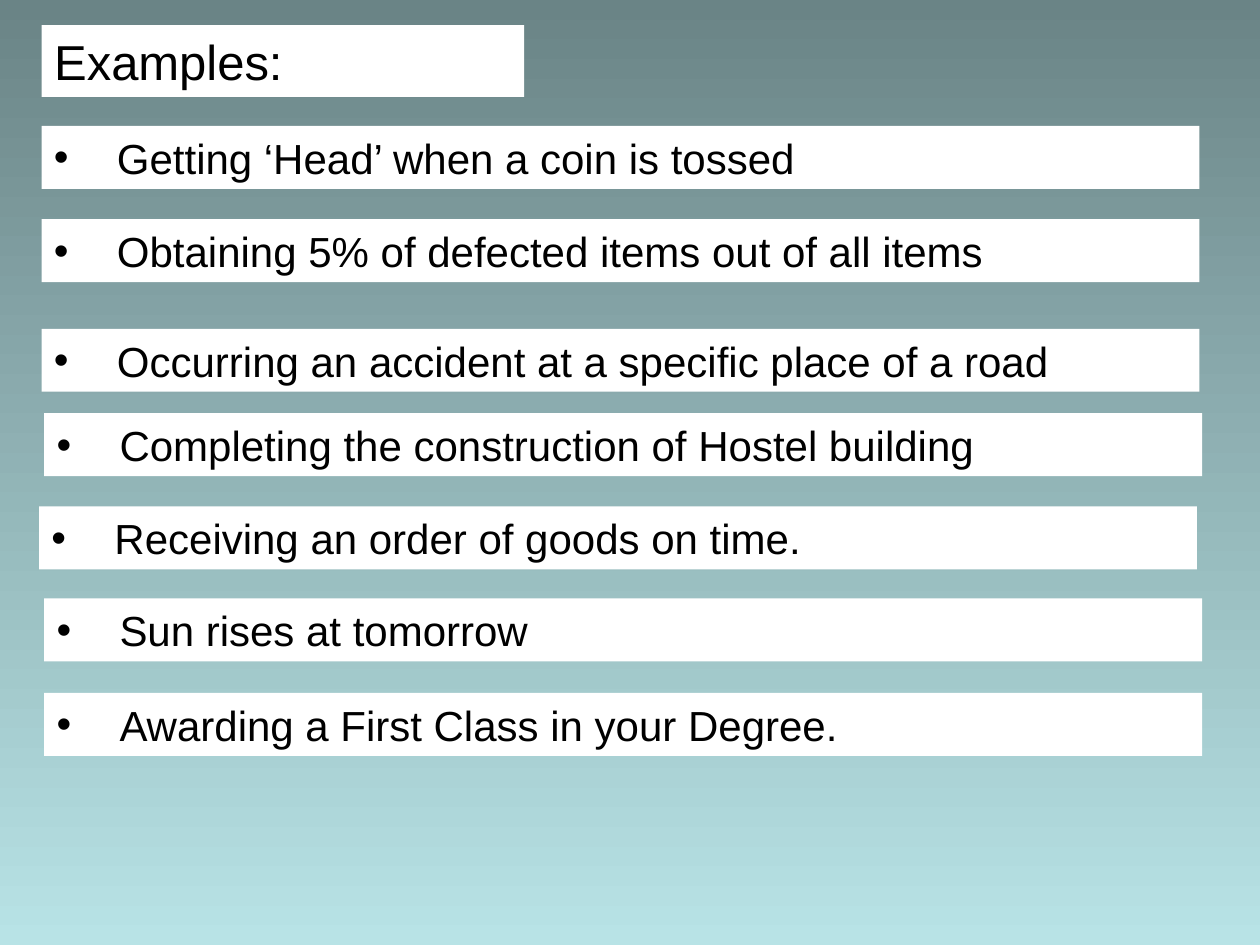
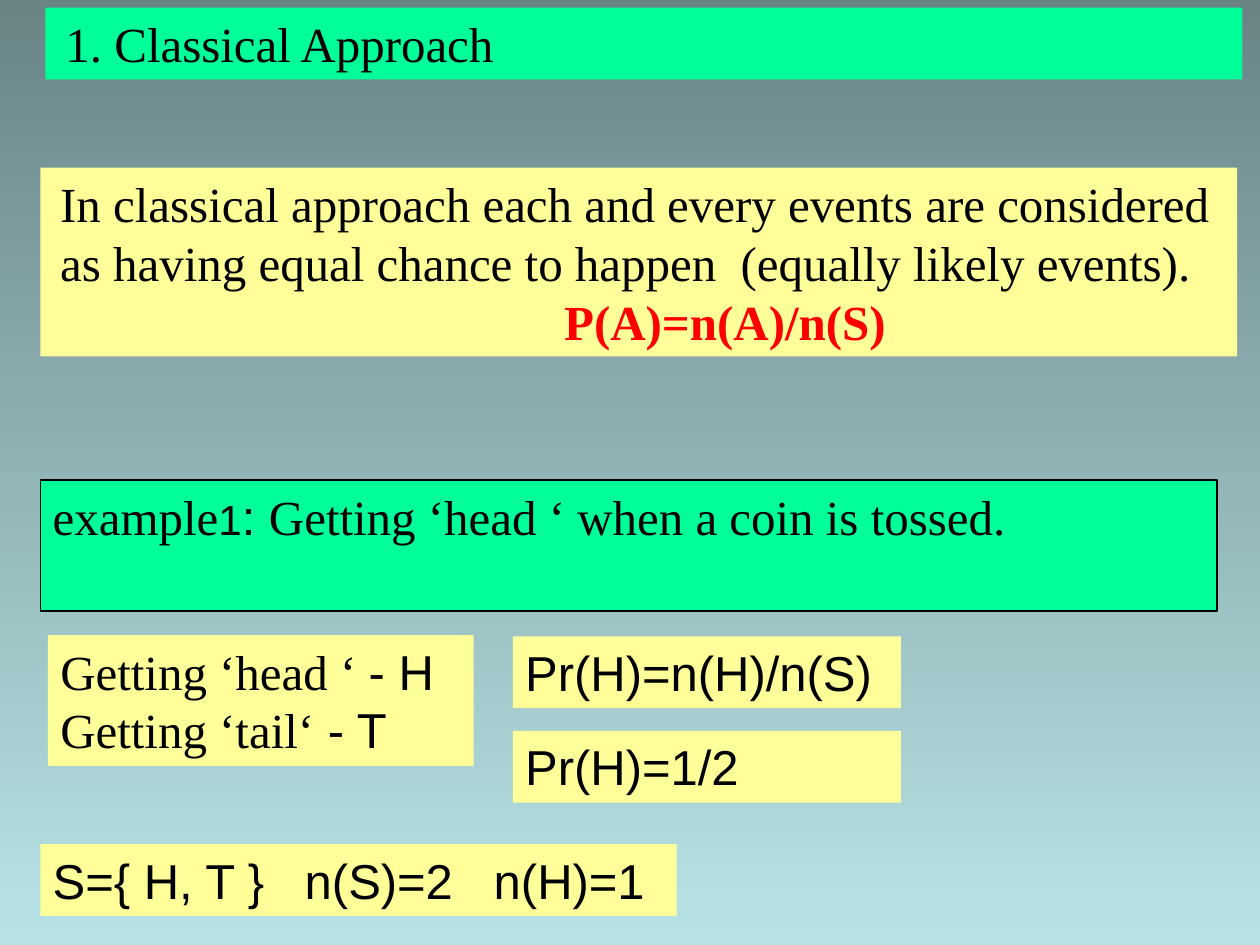
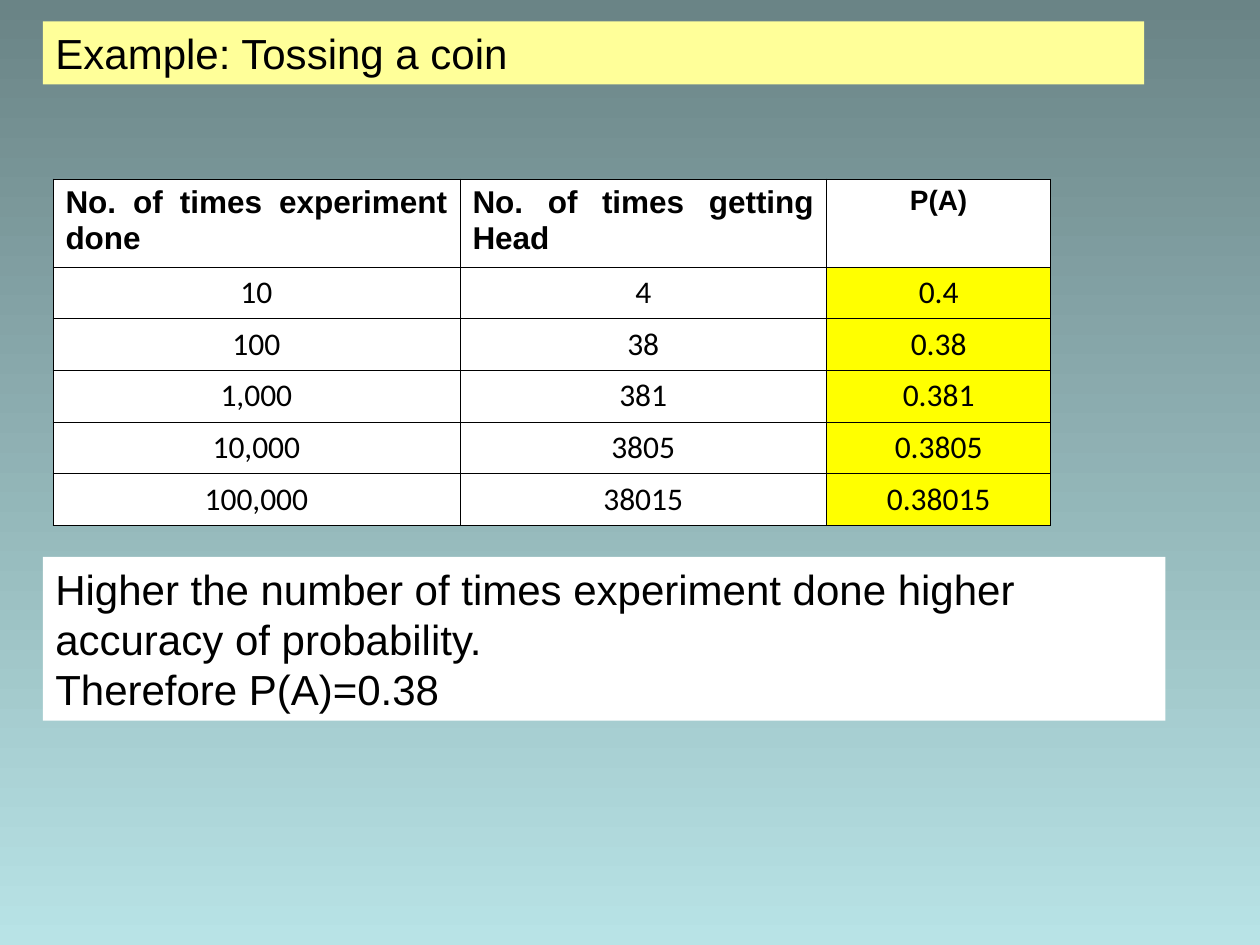
from lxml import etree
from pptx import Presentation
from pptx import util as u
from pptx.dml.color import RGBColor
from pptx.enum import shapes, text
from pptx.oxml import ns

BLACK, WHITE, RED = "000000", "FFFFFF", "FF0000"
GREEN, PALE, YELLOW = "00FF99", "FFFF99", "FFFF00"
BACKGROUND = ("6A8486", "B8E3E6")
SANS, SERIF, TABLE_FONT = "Arial", "Times New Roman", "Calibri"
LEFT, CENTER, JUSTIFY = text.PP_ALIGN.LEFT, text.PP_ALIGN.CENTER, text.PP_ALIGN.JUSTIFY
LINE_FACTOR = 1.2


def color(value):
    return RGBColor.from_string(value)


def set_values(target, values):
    for name, value in values.items():
        setattr(target, name, value)


def add_run(paragraph, words, size, font=SANS, ink=BLACK, bold=False):
    run = paragraph.add_run()
    run.text = words
    set_values(run.font, {"size": u.Pt(size), "name": font, "bold": bold})
    run.font.color.rgb = color(ink)


def add_element(parent, tag, **attributes):
    return etree.SubElement(parent, ns.qn(tag), attributes)


def indent(paragraph, margin, first=0.0, bullet=None, tabs=()):
    """Set the paragraph's indents, and its bullet or tab stops."""
    properties = paragraph._p.get_or_add_pPr()
    properties.set("marL", str(u.Inches(margin)))
    properties.set("indent", str(u.Inches(first)))
    if bullet:
        add_element(properties, "a:buFont", typeface=SANS)
        add_element(properties, "a:buChar", char=bullet)
    if tabs:
        stops = add_element(properties, "a:tabLst")
        for position in tabs:
            add_element(stops, "a:tab", pos=str(u.Inches(position)), algn="l")


def fill_panel(shape, box, fill, lines, size, align=JUSTIFY):
    """Place a coloured panel; each line is a list of (words, run format)."""
    for name, value in zip(("left", "top", "width", "height"), box):
        setattr(shape, name, u.Inches(value))
    shape.fill.solid()
    shape.fill.fore_color.rgb = color(fill)
    frame = shape.text_frame
    set_values(frame, {
        "word_wrap": True, "auto_size": text.MSO_AUTO_SIZE.NONE,
        "vertical_anchor": text.MSO_ANCHOR.TOP,
        "margin_left": u.Inches(0.1), "margin_right": u.Inches(0.1),
        "margin_top": u.Inches(0.05), "margin_bottom": u.Inches(0.05)})
    for index, runs in enumerate(lines):
        paragraph = frame.add_paragraph() if index else frame.paragraphs[0]
        set_values(paragraph, {"alignment": align, "line_spacing": u.Pt(size * LINE_FACTOR)})
        for words, run_format in runs:
            add_run(paragraph, words, **{"size": size, **run_format})
    return frame.paragraphs


def add_panel(slide, box, fill, lines, size=28, align=JUSTIFY, border=None):
    shape = slide.shapes.add_shape(shapes.MSO_SHAPE.RECTANGLE, 0, 0, 0, 0)
    shape.shadow.inherit = False
    if border:
        shape.line.color.rgb = color(border)
        shape.line.width = u.Pt(0.75)
    else:
        shape.line.fill.background()
    return fill_panel(shape, box, fill, lines, size, align)


def add_titled_slide(presentation, title, box, fill, size=28, font=SANS, margin=0.0):
    slide = presentation.slides.add_slide(presentation.slide_layouts.get_by_name("Title Only"))
    lines = [[(title, {"font": font})]]
    paragraphs = fill_panel(slide.shapes.title, box, fill, lines, size, LEFT)
    indent(paragraphs[0], margin)
    return slide


def set_background(presentation):
    fill = presentation.slide_master.background.fill
    fill.gradient()
    fill.gradient_angle = 270
    for stop, value in zip(fill.gradient_stops, BACKGROUND):
        stop.color.rgb = color(value)


def fill_cell(cell, words, fill, align, **run_format):
    properties = cell._tc.get_or_add_tcPr()
    for side in ("a:lnL", "a:lnR", "a:lnT", "a:lnB"):
        line = add_element(properties, side, w=str(u.Pt(0.45)))
        add_element(add_element(line, "a:solidFill"), "a:srgbClr", val=BLACK)
    cell.fill.solid()
    cell.fill.fore_color.rgb = color(fill)
    paragraph = cell.text_frame.paragraphs[0]
    paragraph.alignment = align
    add_run(paragraph, words, **run_format)


def add_toss_table(slide, box, widths, heights, headers, rows):
    table = slide.shapes.add_table(len(heights), len(widths), *map(u.Inches, box)).table
    set_values(table, {"first_row": False, "horz_banding": False})
    for column, width in zip(table.columns, widths):
        column.width = u.Inches(width)
    for row, height in zip(table.rows, heights):
        row.height = u.Inches(height)
    last = len(headers) - 1
    for index, words in enumerate(headers):
        align, size = (CENTER, 16) if index == last else (JUSTIFY, 18)
        fill_cell(table.cell(0, index), words, WHITE, align, size=size, bold=True)
    for row_index, row in enumerate(rows, 1):
        for index, words in enumerate(row):
            fill_cell(table.cell(row_index, index), words, YELLOW if index == last else WHITE,
                      CENTER, size=18, font=TABLE_FONT)


# Slide 1: list of events
def build_events(presentation):
    slide = add_titled_slide(presentation, "Examples:", (0.33, 0.2, 3.83, 0.57), WHITE)
    events = (
        (0.33, 1.0, "Getting ‘Head’ when a coin is tossed"),
        (0.33, 1.74, "Obtaining 5% of defected items out of all items"),
        (0.33, 2.61, "Occurring an accident at a specific place of a road"),
        (0.35, 3.28, "Completing the construction of Hostel building"),
        (0.31, 4.02, "Receiving an order of goods on time."),
        (0.35, 4.75, "Sun rises at tomorrow"),
        (0.35, 5.5, "Awarding a First Class in your Degree."),
    )
    for left, top, words in events:
        paragraphs = add_panel(slide, (left, top, 9.19, 0.5), WHITE, [[(words, {})]], size=24)
        indent(paragraphs[0], 0.5, -0.5, bullet="•")


# Slide 2: classical approach
def build_classical(presentation):
    serif = {"font": SERIF}
    slide = add_titled_slide(presentation, "1. Classical Approach", (0.36, 0.06, 9.5, 0.57),
                             GREEN, font=SERIF, margin=0.06)
    # Definition and formula
    definition = ("In classical approach each and every events are considered as having "
                  "equal chance to happen  (equally likely events).")
    formula = ("P(A)=n(A)/n(S)", {"font": SERIF, "ink": RED, "bold": True})
    paragraphs = add_panel(slide, (0.32, 1.33, 9.5, 1.5), PALE,
                           [[(definition, serif)], [formula]], align=LEFT)
    for paragraph, margin in zip(paragraphs, (0.06, 4.06)):
        indent(paragraph, margin)
    # Worked example
    add_panel(slide, (0.32, 3.81, 9.34, 1.04), GREEN,
              [[("example", serif), ("1", {"size": 24}), (": ", {}),
                ("Getting ‘head ‘ when a coin is tossed.", serif)]], border=BLACK)
    add_panel(slide, (0.38, 5.04, 3.38, 1.04), PALE,
              [[("Getting ‘head ‘ ", serif), ("- H", {})],
               [("Getting ‘tail‘", serif), (" - T", {})]])
    sample_space = add_panel(slide, (0.32, 6.7, 5.05, 0.57), PALE,
                             [[("S={ H, T }\tn(S)=2\tn(H)=1", {})]], align=LEFT)
    indent(sample_space[0], 0, tabs=(2.02, 3.43))
    for top, words in ((5.05, "Pr(H)=n(H)/n(S)"), (5.8, "Pr(H)=1/2")):
        add_panel(slide, (4.07, top, 3.08, 0.57), PALE, [[(words, {})]])


# Slide 3: repeated experiment
def build_experiment(presentation):
    slide = add_titled_slide(presentation, "Example: Tossing a coin",
                             (0.34, 0.17, 8.74, 0.5), PALE, size=24)
    headers = ("No. of times experiment done", "No. of times getting Head", "P(A)")
    rows = (
        ("10", "4", "0.4"),
        ("100", "38", "0.38"),
        ("1,000", "381", "0.381"),
        ("10,000", "3805", "0.3805"),
        ("100,000", "38015", "0.38015"),
    )
    add_toss_table(slide, (0.42, 1.42, 7.92, 2.73), (3.23, 2.91, 1.78),
                   [0.7] + [0.41] * len(rows), headers, rows)
    conclusion = ("Higher the number of times experiment done higher accuracy of probability.",
                  "Therefore P(A)=0.38")
    add_panel(slide, (0.34, 4.42, 8.91, 1.3), WHITE,
              [[(words, {})] for words in conclusion], size=24, align=LEFT)


def main():
    presentation = Presentation()
    set_values(presentation, {"slide_width": u.Inches(10), "slide_height": u.Inches(7.5)})
    set_background(presentation)
    for build in (build_events, build_classical, build_experiment):
        build(presentation)
    presentation.save("out.pptx")


if __name__ == "__main__":
    main()
